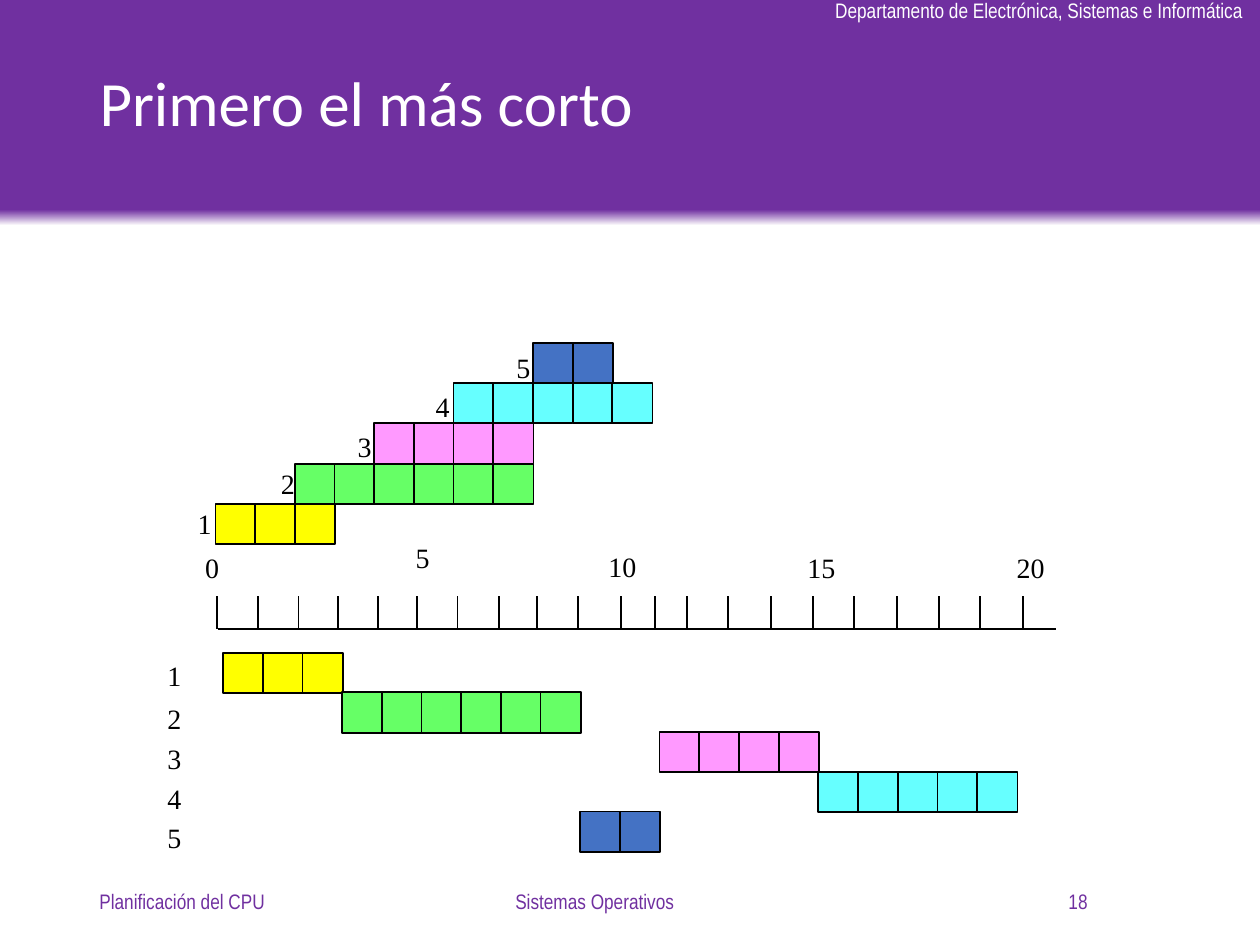
from dataclasses import dataclass

from lxml import etree
from pptx import Presentation
from pptx import util as u
from pptx.dml.color import RGBColor
from pptx.enum import shapes, text
from pptx.oxml.ns import qn

PURPLE, WHITE, BLACK = "7030A0", "FFFFFF", "000000"
NARROW, SERIF = "Arial Narrow", "Times New Roman"
LEFT, CENTER, RIGHT = text.PP_ALIGN.LEFT, text.PP_ALIGN.CENTER, text.PP_ALIGN.RIGHT
TOP, MIDDLE = text.MSO_ANCHOR.TOP, text.MSO_ANCHOR.MIDDLE

CELL = 0.32           # side of one time unit
STEP = 0.63 / 2       # distance between time units
QUEUE_LEFT, QUEUE_BOTTOM = 1.71, 4.0
RUN_LEFT, RUN_TOP = 1.77, 5.18
AXIS_Y, TICK_TOP = 4.99, 4.73


@dataclass
class Job:
    number: int
    length: int
    start: int
    color: str
    queue_label: tuple[float, float]
    run_label_top: float

    @property
    def arrival(self) -> int:
        return 2 * (self.number - 1)


@dataclass
class Label:
    wording: str
    left: float
    top: float
    width: float
    height: float = 0.36
    font: str = SERIF
    size: int = 16
    color: str = BLACK
    align: text.PP_ALIGN = LEFT
    anchor: text.MSO_ANCHOR = TOP
    wrap: bool = False


JOBS = [
    Job(1, 3, 0, "FFFF00", (1.47, 3.97), 5.18),
    Job(2, 6, 3, "66FF66", (2.13, 3.65), 5.52),
    Job(3, 4, 11, "FF99FF", (2.74, 3.36), 5.84),
    Job(4, 5, 15, "66FFFF", (3.36, 3.04), 6.15),
    Job(5, 2, 9, "4472C4", (4.0, 2.73), 6.46),
]
TICKS = [1.72, 2.05, 2.37, 2.68, 3, 3.31, 3.63, 3.96, 4.26, 4.59, 4.93,
         5.2, 5.45, 5.78, 6.12, 6.45, 6.78, 7.12, 7.45, 7.78, 8.12]
SCALE = [
    Label("0", 1.53, 4.32, 0.31),
    Label("5", 3.2, 4.24, 0.31),
    Label("10", 4.73, 4.31, 0.42),
    Label("15", 6.31, 4.32, 0.42),
    Label("20", 7.97, 4.32, 0.42),
]
HEADER = Label("Departamento de Electrónica, Sistemas e Informática",
               6.53, -0.07, 3.48, 0.3, NARROW, 12, WHITE)
FOOTERS = [
    Label(wording, left, 6.95, width, 0.4, NARROW, 12, PURPLE, align, MIDDLE, True)
    for wording, left, width, align in [
        ("Planificación del CPU", 0.69, 2.25, LEFT),
        ("Sistemas Operativos", 3.03, 3.38, CENTER),
        ("18", 6.48, 2.25, RIGHT),
    ]
]


def rgb(color: str) -> RGBColor:
    return RGBColor.from_string(color)


def box(left: float, top: float, width: float, height: float) -> list[u.Length]:
    return [u.Inches(length) for length in (left, top, width, height)]


def write(frame, wording: str, font: str, size: int, color: str, align) -> None:
    frame.text = wording
    paragraph = frame.paragraphs[0]
    paragraph.alignment = align
    style = paragraph.runs[0].font
    style.name, style.size = font, u.Pt(size)
    style.color.rgb = rgb(color)


def add_label(slide, label: Label) -> None:
    frame = slide.shapes.add_textbox(
        *box(label.left, label.top, label.width, label.height)).text_frame
    write(frame, label.wording, label.font, label.size, label.color, label.align)
    frame.word_wrap = label.wrap
    frame.vertical_anchor = label.anchor


def add_line(slide, x1: float, y1: float, x2: float, y2: float) -> None:
    line = slide.shapes.add_connector(
        shapes.MSO_CONNECTOR.STRAIGHT, *box(x1, y1, x2, y2))
    line.line.color.rgb = rgb(BLACK)
    line.line.width = u.Pt(1)
    etree.SubElement(line._element.spPr, qn("a:effectLst"))


def add_bar(slide, job: Job, left: float, top: float) -> None:
    for unit in range(job.length):
        cell = slide.shapes.add_shape(
            shapes.MSO_SHAPE.RECTANGLE, *box(left + unit * STEP, top, CELL, CELL))
        cell.shadow.inherit = False
        cell.fill.solid()
        cell.fill.fore_color.rgb = rgb(job.color)
        cell.line.color.rgb = rgb(BLACK)
        cell.line.width = u.Pt(1)


def add_heading(slide) -> None:
    # Purple band that fades to white along its lower edge
    band = slide.shapes.add_shape(shapes.MSO_SHAPE.RECTANGLE, *box(0, 0, 10, 1.79))
    band.shadow.inherit = False
    band.line.fill.background()
    band.fill.gradient()
    band.fill.gradient_angle = 90
    for stop, position, color in zip(
            band.fill.gradient_stops, (0, 0.07), (WHITE, PURPLE)):
        stop.position = position
        stop.color.rgb = rgb(color)

    # Title, in front of the band
    title = slide.shapes.title
    title._element.addprevious(band._element)
    title.left, title.top, title.width, title.height = box(0.69, 0.15, 8.62, 1.39)
    write(title.text_frame, "Primero el más corto", "Calibri", 36, WHITE, LEFT)
    title.text_frame.vertical_anchor = MIDDLE
    title.text_frame.paragraphs[0].line_spacing = 0.9


def main() -> None:
    deck = Presentation()
    deck.slide_width, deck.slide_height = u.Inches(10), u.Inches(7.5)
    slide = deck.slides.add_slide(deck.slide_layouts[5])
    add_heading(slide)

    # Time axis
    add_line(slide, 1.73, AXIS_Y, 8.38, AXIS_Y)
    for tick in TICKS:
        add_line(slide, tick, AXIS_Y, tick, TICK_TOP)

    for label in [HEADER, *FOOTERS, *SCALE]:
        add_label(slide, label)

    # Arrivals above the axis, executions below it
    for row, job in enumerate(JOBS):
        add_bar(slide, job, QUEUE_LEFT + job.arrival * STEP, QUEUE_BOTTOM - row * CELL)
        add_label(slide, Label(str(job.number), *job.queue_label, 0.31))
        add_bar(slide, job, RUN_LEFT + job.start * STEP, RUN_TOP + row * STEP)
        add_label(slide, Label(str(job.number), 1.23, job.run_label_top, 0.31))

    deck.save("out.pptx")


if __name__ == "__main__":
    main()
